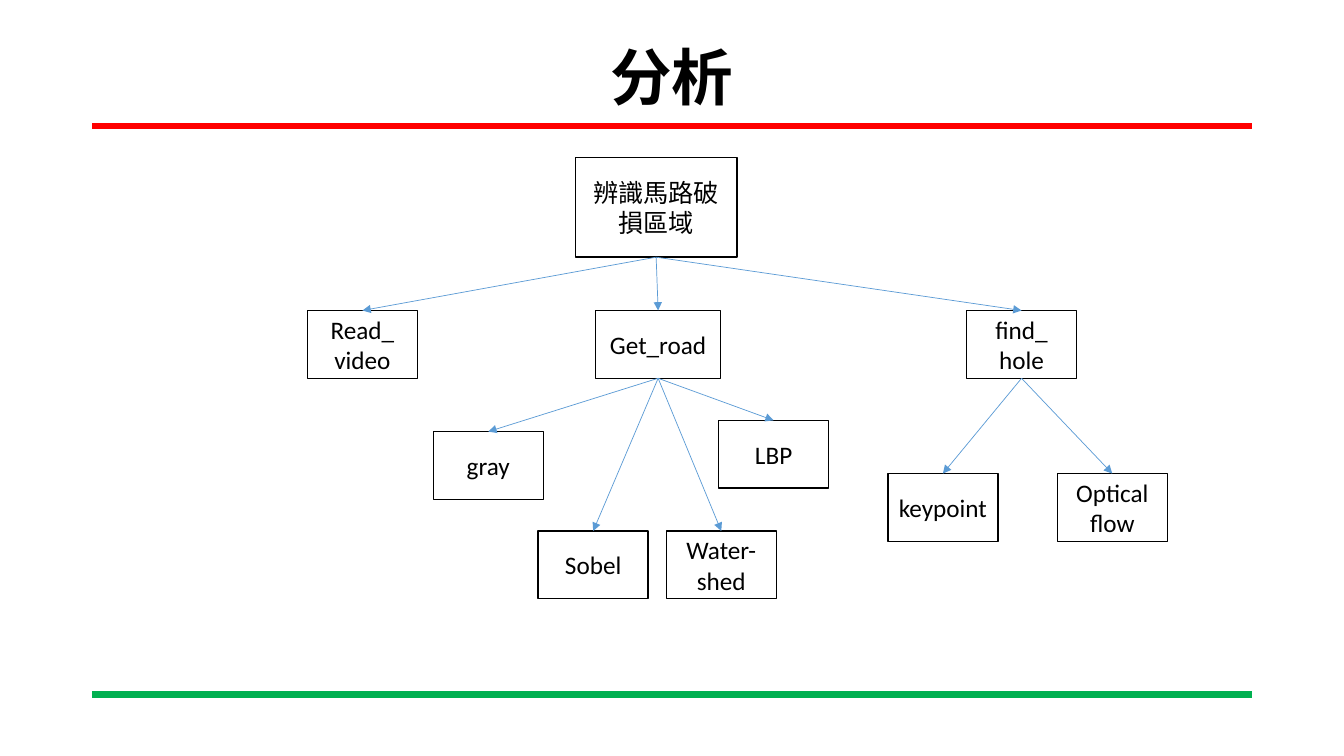
import pptx
import pptx.dml.color
import pptx.enum.shapes
import pptx.enum.text
import pptx.oxml
import pptx.oxml.ns
import pptx.util
from dataclasses import dataclass

Pt = pptx.util.Pt
RGB = pptx.dml.color.RGBColor.from_string


@dataclass(frozen=True)
class Theme:
    ink: str = "000000"
    paper: str = "FFFFFF"
    red: str = "FF0000"
    green: str = "00B050"
    blue: str = "5B9BD5"
    head: str = "Times New Roman"
    body: str = "Calibri"
    big: int = 44
    small: int = 18
    rule: float = 4.5
    edge: float = 1
    link: float = 0.5


THEME = Theme()
SMALL = (78.6, 48.4)

# key: (lines of text, parent, centre from left, top, size)
NODES = {
    "root": (["辨識馬路破損區域"], None, 402.7, 0, (115.6, 71.4)),
    "read": (["Read_", "video"], "root", 192.9, 109.5, SMALL),
    "road": (["Get_road"], "root", 404.1, 109.5, (89.4, 48.4)),
    "hole": (["find_", "hole"], "root", 663.7, 109.5, SMALL),
    "gray": (["gray"], "road", 282.8, 196, SMALL),
    "lbp": (["LBP"], "road", 486.6, 188, SMALL),
    "sobel": (["Sobel"], "road", 357.7, 267, SMALL),
    "water": (["Water-shed"], "road", 449.2, 267, SMALL),
    "point": (["keypoint"], "hole", 607.5, 226, SMALL),
    "flow": (["Optical flow"], "hole", 728.5, 226, SMALL),
}


def write(frame, lines, font, size, bold=False):
    """Fill a frame with centred lines, one paragraph each."""
    frame.word_wrap = True
    frame.auto_size = pptx.enum.text.MSO_AUTO_SIZE.NONE
    frame.vertical_anchor = pptx.enum.text.MSO_ANCHOR.MIDDLE
    for i, line in enumerate(lines):
        para = frame.add_paragraph() if i else frame.paragraphs[0]
        para.alignment = pptx.enum.text.PP_ALIGN.CENTER
        run = para.add_run()
        run.text = line
        run.font.name = font
        run.font.size = Pt(size)
        run.font.bold = bold
        run.font.color.rgb = RGB(THEME.ink)


def add_line(slide, start, end, color, width):
    line = slide.shapes.add_connector(
        pptx.enum.shapes.MSO_CONNECTOR.STRAIGHT,
        *(Pt(n) for n in (*start, *end)))
    line.line.color.rgb = RGB(color)
    line.line.width = Pt(width)
    line.element.spPr.append(pptx.oxml.parse_xml(
        f'<a:effectLst {pptx.oxml.ns.nsdecls("a")}/>'))
    return line


def add_link(slide, upper, lower):
    """Draw an arrow from the foot of one box to the top of another."""
    link = add_line(slide, (0, 0), (0, 0), THEME.blue, THEME.link)
    link.begin_connect(upper, 2)
    link.end_connect(lower, 0)
    link.get_or_add_ln().append(pptx.oxml.parse_xml(
        f'<a:tailEnd {pptx.oxml.ns.nsdecls("a")} type="triangle"/>'))


def add_node(slide, lines, left, top, width, height):
    node = slide.shapes.add_shape(
        pptx.enum.shapes.MSO_SHAPE.RECTANGLE,
        Pt(left), Pt(top), Pt(width), Pt(height))
    node.shadow.inherit = False
    node.fill.solid()
    node.fill.fore_color.rgb = RGB(THEME.paper)
    node.line.color.rgb = RGB(THEME.ink)
    node.line.width = Pt(THEME.edge)
    write(node.text_frame, lines, THEME.body, THEME.small)
    return node


def add_title(slide, text, left, top, width, height):
    title = slide.shapes.title
    title.left, title.top = Pt(left), Pt(top)
    title.width, title.height = Pt(width), Pt(height)
    write(title.text_frame, [text], THEME.head, THEME.big, True)
    title.text_frame.paragraphs[0].line_spacing = 0.9


def add_rules(slide, left, top, width, height):
    """Rule off the top and the foot of the box."""
    for y, color in ((top, THEME.red), (top + height, THEME.green)):
        add_line(slide, (left, y), (left + width, y), color, THEME.rule)


def add_tree(slide, left, top):
    boxes = {}
    for key, (lines, _, mid, drop, (width, height)) in NODES.items():
        boxes[key] = add_node(slide, lines, left + mid - width / 2,
                              top + drop, width, height)
    for key, node in NODES.items():
        if node[1]:
            add_link(slide, boxes[node[1]], boxes[key])


def main():
    deck = pptx.Presentation()
    deck.slide_width, deck.slide_height = Pt(960), Pt(540)
    slide = deck.slides.add_slide(deck.slide_layouts.get_by_name("Title Only"))
    add_rules(slide, 66, 90, 828, 406)
    add_title(slide, "分析", 66, 28.8, 828, 57)
    add_tree(slide, 66, 112.3)
    deck.save("out.pptx")


if __name__ == "__main__":
    main()
